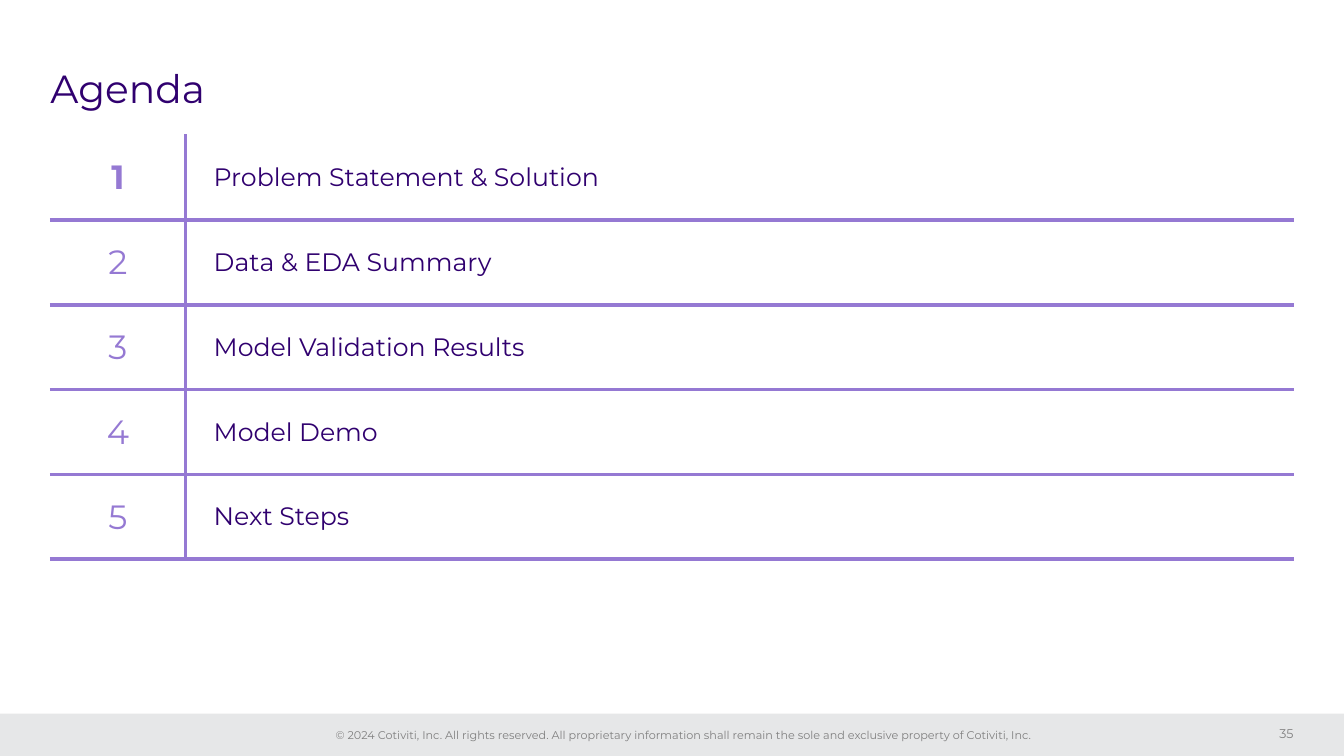
from lxml import etree
from pptx import Presentation
from pptx import util as u
from pptx.dml.color import RGBColor
from pptx.enum import shapes, text
from pptx.oxml import ns

PURPLE, VIOLET, GREY = "30006F", "9579D3", "808080"


def style(paragraph, size, color, align=text.PP_ALIGN.LEFT, bold=False):
    paragraph.alignment = align
    font = paragraph.font
    font.name, font.size, font.bold = "Montserrat", u.Pt(size), bold
    font.color.rgb = RGBColor.from_string(color)


def add_borders(cell, sides):
    props = cell._tc.get_or_add_tcPr()
    for position, side in enumerate(sides):
        line = etree.Element(ns.qn(f"a:ln{side}"), w=str(u.Pt(3)))
        fill = etree.SubElement(line, ns.qn("a:solidFill"))
        etree.SubElement(fill, ns.qn("a:srgbClr"), val=VIOLET)
        props.insert(position, line)


prs = Presentation()
prs.slide_width, prs.slide_height = u.Inches(13.33), u.Inches(7.5)
slide = prs.slides.add_slide(prs.slide_layouts[5])

band = slide.shapes.add_shape(
    shapes.MSO_SHAPE.RECTANGLE, 0, u.Inches(7.08), u.Inches(13.33), u.Inches(0.42))
band.shadow.inherit = False
band.fill.solid()
band.fill.fore_color.rgb = RGBColor.from_string("E6E7E8")
band.line.fill.background()

copyright_line = slide.shapes.add_textbox(
    u.Inches(3.2), u.Inches(7.18), u.Inches(7.17), u.Inches(0.24)).text_frame
copyright_line.word_wrap = False
copyright_line.text = (
    "© 2024 Cotiviti, Inc. All rights reserved. All proprietary information "
    "shall remain the sole and exclusive property of Cotiviti, Inc.")
style(copyright_line.paragraphs[0], 8, GREY, text.PP_ALIGN.CENTER)

page_number = slide.shapes.add_textbox(
    u.Inches(12.3), u.Inches(7.13), u.Inches(0.53), u.Inches(0.3)).text_frame
page_number.word_wrap = True
page_number.text = "35"
style(page_number.paragraphs[0], 9, GREY, text.PP_ALIGN.RIGHT)

heading = slide.shapes.title
heading.left, heading.top = u.Inches(0.5), u.Inches(0.4)
heading.width, heading.height = u.Inches(12.33), u.Inches(1)
heading.text_frame.text = "Agenda"
heading.text_frame.paragraphs[0].line_spacing = 0.9
style(heading.text_frame.paragraphs[0], 28, PURPLE)

for frame in (page_number, heading.text_frame):
    frame.vertical_anchor = text.MSO_ANCHOR.MIDDLE
    frame.margin_left = frame.margin_right = 0
    frame.margin_top = frame.margin_bottom = 0

topics = ["Problem Statement & Solution", "Data & EDA Summary",
          "Model Validation Results", "Model Demo", "Next Steps"]
agenda = slide.shapes.add_table(
    len(topics), 2, u.Inches(0.5), u.Inches(1.34), u.Inches(12.33), u.Inches(4.21)).table
agenda.first_row = agenda.horz_banding = False
agenda.columns[0].width, agenda.columns[1].width = u.Inches(1.34), u.Inches(10.99)

for row, topic in enumerate(topics):
    number_cell, topic_cell = agenda.cell(row, 0), agenda.cell(row, 1)
    number_cell.text, topic_cell.text = str(row + 1), topic
    for cell in (number_cell, topic_cell):
        cell.vertical_anchor = text.MSO_ANCHOR.MIDDLE
        cell.fill.background()
    style(number_cell.text_frame.paragraphs[0], 24, VIOLET,
          text.PP_ALIGN.CENTER, bold=row == 0)
    topic_line = topic_cell.text_frame.paragraphs[0]
    topic_line._p.get_or_add_pPr().set("marL", str(u.Inches(0.18)))
    style(topic_line, 18, PURPLE)
    inner = "TB" if row else "B"
    add_borders(number_cell, "R" + inner)
    add_borders(topic_cell, "L" + inner)

prs.save("out.pptx")
